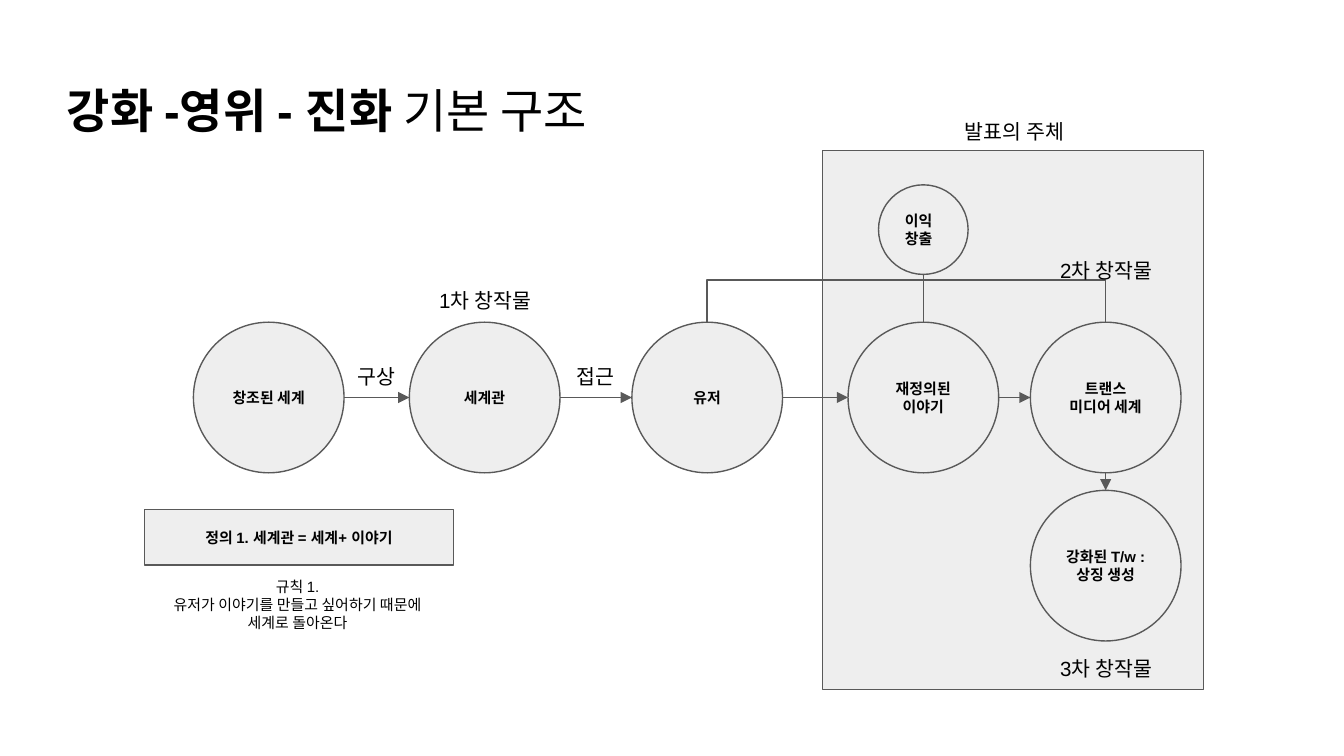
from pptx import Presentation
from pptx.dml.color import RGBColor
from pptx.enum.shapes import MSO_CONNECTOR, MSO_SHAPE
from pptx.enum.text import MSO_ANCHOR, PP_ALIGN
from pptx.util import Pt
from lxml.etree import SubElement
from pptx.oxml.ns import qn

BLACK = RGBColor(0, 0, 0)
GREY = RGBColor(0x59, 0x59, 0x59)
PALE = RGBColor(0xEE, 0xEE, 0xEE)
MID = PP_ALIGN.CENTER
LEFT = PP_ALIGN.LEFT

deck = Presentation()
deck.slide_width, deck.slide_height = Pt(720), Pt(405)
slide = deck.slides.add_slide(deck.slide_layouts[6])
shapes = slide.shapes


def write(shape, text, size, bold=False, align=MID, anchor=MSO_ANCHOR.TOP):
    frame = shape.text_frame
    frame.word_wrap = True
    frame.vertical_anchor = anchor
    frame.margin_left = frame.margin_right = Pt(7.2)
    frame.margin_top = frame.margin_bottom = Pt(7.2)
    frame.text = text
    for para in frame.paragraphs:
        para.alignment = align
        font = para.font
        font.name, font.size, font.bold = "Arial", Pt(size), bold
        font.color.rgb = BLACK


def draw(kind, x, y, w, h, text="", align=MID):
    shape = shapes.add_shape(kind, Pt(x), Pt(y), Pt(w), Pt(h))
    shape.shadow.inherit = False
    shape.fill.solid()
    shape.fill.fore_color.rgb = PALE
    shape.line.color.rgb = GREY
    shape.line.width = Pt(0.75)
    if text:
        write(shape, text, 8, True, align, MSO_ANCHOR.MIDDLE)


draw(MSO_SHAPE.RECTANGLE, 440.8, 80.7, 203.9, 288.6)

title = shapes.add_textbox(Pt(28.8), Pt(36.7), Pt(379.4), Pt(39.6))
write(title, "강화 -영위 - 진화 ", 25.2, True, LEFT)
tail = title.text_frame.paragraphs[0].add_run()
tail.text = "기본 구조"
tail.font.bold = False

size, top = 80.7, 172.6
mid = top + size / 2
low = 262.7
steps = [
    (103.6, "창조된 세계"),
    (219.3, "세계관"),
    (338.5, "유저"),
    (454.3, "재정의된\n이야기"),
    (552, "트랜스\n미디어 세계"),
]
for x, text in steps:
    draw(MSO_SHAPE.OVAL, x, top, size, size, text)
user, story, media = [x + size / 2 for x, text in steps[2:]]
draw(MSO_SHAPE.OVAL, story - 24, 99, 48, 48, "이익창출", LEFT)
draw(MSO_SHAPE.OVAL, steps[-1][0], low, size, size, "강화된 T/w : 상징 생성")
draw(MSO_SHAPE.RECTANGLE, 77.4, 273, 165.6, 29.8, "정의 1. 세계관 = 세계+ 이야기")

links = [(a[0] + size, mid, b[0], mid, True) for a, b in zip(steps, steps[1:])]
links += [(media, top + size, media, low, True), (story, 147, story, top, False)]
for x, y, end, foot, arrow in links:
    link = shapes.add_connector(MSO_CONNECTOR.STRAIGHT, Pt(x), Pt(y), Pt(end), Pt(foot))
    link.line.color.rgb = GREY
    link.line.width = Pt(0.75)
    if arrow:
        SubElement(link.line._get_or_add_ln(), qn("a:tailEnd"), type="triangle")
    SubElement(link._element.spPr, qn("a:effectLst"))

path = shapes.build_freeform(Pt(media), Pt(top))
path.add_line_segments(
    [(Pt(media), Pt(150)), (Pt(user), Pt(150)), (Pt(user), Pt(top))], close=False
)
loop = path.convert_to_shape()
loop.shadow.inherit = False
loop.fill.background()
loop.line.color.rgb = GREY
loop.line.width = Pt(0.75)

notes = [
    (221, 147.6, 77.8, 28.1, "1차 창작물", 11, MID),
    (553.7, 131.8, 77.8, 28.1, "2차 창작물", 11, MID),
    (553.7, 344.9, 77.8, 28.1, "3차 창작물", 11, MID),
    (491, 56.9, 105.1, 28.1, "발표의 주체", 11, MID),
    (184.3, 188.6, 38.9, 28.1, "구상", 11, LEFT),
    (301.7, 188.6, 38.9, 28.1, "접근", 11, LEFT),
    (75.6, 302.4, 167.8, 43.9, "규칙 1.\n유저가 이야기를 만들고 싶어하기 때문에 세계로 돌아온다", 8, MID),
]
for x, y, w, h, text, pt, align in notes:
    write(shapes.add_textbox(Pt(x), Pt(y), Pt(w), Pt(h)), text, pt, False, align)

deck.save("out.pptx")
